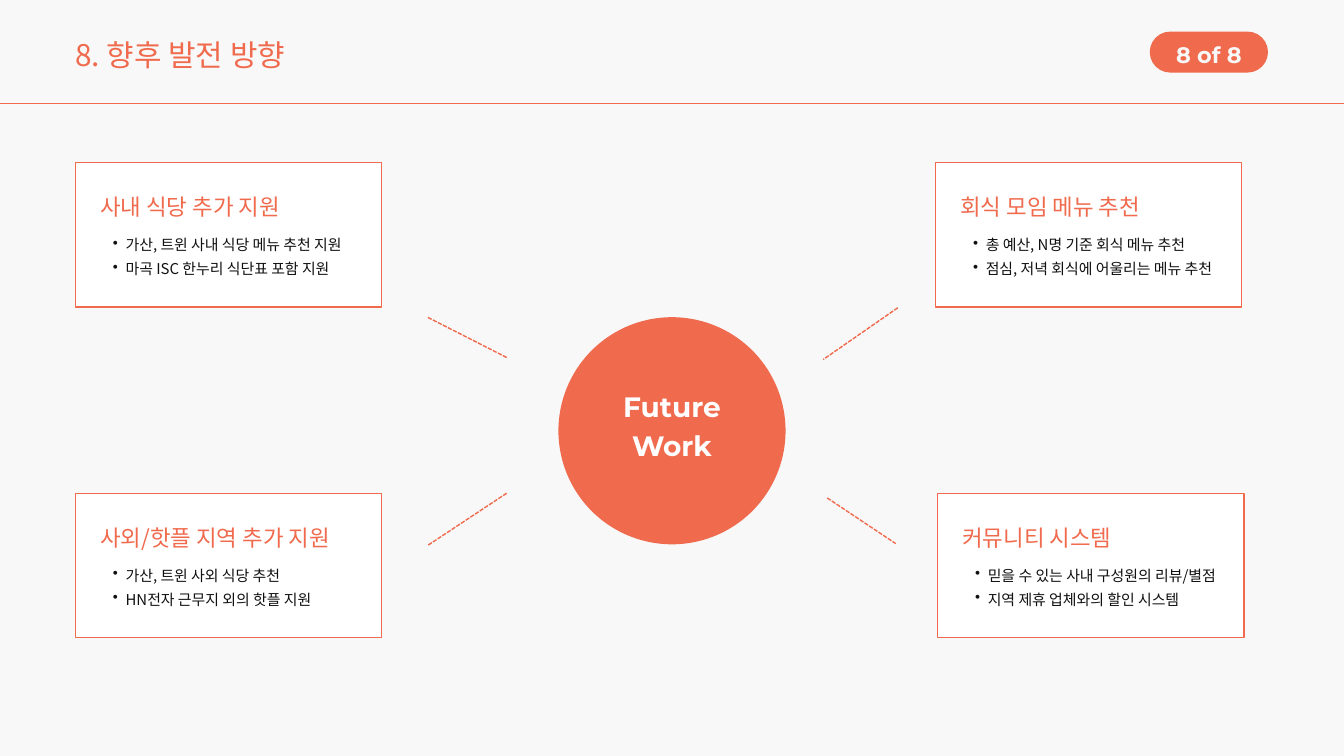
from dataclasses import dataclass

from lxml import etree
from pptx import Presentation
from pptx.dml.color import RGBColor
from pptx.enum.dml import MSO_LINE
from pptx.enum.shapes import MSO_CONNECTOR, MSO_SHAPE
from pptx.enum.text import MSO_ANCHOR, PP_ALIGN
from pptx.oxml.ns import qn
from pptx.util import Inches, Pt


@dataclass(frozen=True)
class Theme:
    accent: RGBColor = RGBColor(0xF0, 0x6A, 0x4D)
    paper: RGBColor = RGBColor(0xF8, 0xF8, 0xF8)
    white: RGBColor = RGBColor(0xFF, 0xFF, 0xFF)
    ink: RGBColor = RGBColor(0x10, 0x10, 0x10)
    korean: str = "Noto Sans CJK KR"
    latin: str = "Montserrat"
    title: float = 32
    hub: float = 30
    heading: float = 24
    body: float = 16
    line: float = 1.5


T = Theme()
CARD_W, CARD_H = 4.56, 2.15


def add_fill(s, kind, box, fill, line=None):
    sp = s.shapes.add_shape(kind, *map(Inches, box))
    sp.shadow.inherit = False
    sp.fill.solid()
    sp.fill.fore_color.rgb = fill
    if line is None:
        sp.line.fill.background()
    else:
        sp.line.color.rgb = line
        sp.line.width = Pt(T.line)
    return sp


def add_line(s, start, end, dash=None):
    cx = s.shapes.add_connector(MSO_CONNECTOR.STRAIGHT,
                                *map(Inches, (*start, *end)))
    cx.line.color.rgb = T.accent
    cx.line.width = Pt(T.line)
    if dash is not None:
        cx.line.dash_style = dash
    etree.SubElement(cx._element.spPr, qn("a:effectLst"))


def add_bullet(p):
    p.level = 1
    pPr = p._p.get_or_add_pPr()
    pPr.set("marL", str(Inches(0.38)))
    pPr.set("indent", str(Inches(-0.19)))
    etree.SubElement(pPr, qn("a:buChar"), char="•")


def add_text(s, box, lines, size, color, leading, font=T.korean, bold=False,
             align=PP_ALIGN.LEFT, anchor=MSO_ANCHOR.TOP, bullets=False):
    tf = s.shapes.add_textbox(*map(Inches, box)).text_frame
    tf.word_wrap = True
    tf.vertical_anchor = anchor
    tf.margin_left = tf.margin_right = tf.margin_top = tf.margin_bottom = 0
    for i, line in enumerate(lines):
        p = tf.add_paragraph() if i else tf.paragraphs[0]
        if bullets:
            add_bullet(p)
        p.alignment = align
        p.line_spacing = Pt(leading)
        r = p.add_run()
        r.text = line
        r.font.name = font
        r.font.size = Pt(size)
        r.font.bold = bold
        r.font.color.rgb = color
        # Hangul takes its typeface from the East Asian slot
        etree.SubElement(r._r.get_or_add_rPr(), qn("a:ea"), typeface=font)


def add_header(s, width):
    add_text(s, (1.12, 0.45, 6, 0.62), ["8. 향후 발전 방향"],
             T.title, T.accent, 44.8)
    pill = add_fill(s, MSO_SHAPE.ROUNDED_RECTANGLE,
                    (17.11, 0.47, 1.76, 0.61), T.accent)
    pill.adjustments[0] = 0.5
    add_text(s, (17.11, 0.54, 1.76, 0.43), ["8 of 8"], T.heading, T.paper,
             33.6, T.latin, True, PP_ALIGN.CENTER)
    add_line(s, (0, 1.54), (width, 1.54))


def add_hub(s, x, y, d):
    add_fill(s, MSO_SHAPE.OVAL, (x, y, d, d), T.accent)
    add_text(s, (x, y + 0.08, d, d - 0.4), ["Future", "Work"], T.hub, T.white,
             42, T.latin, True, PP_ALIGN.CENTER, MSO_ANCHOR.MIDDLE)


def add_card(s, x, y, heading, items):
    add_fill(s, MSO_SHAPE.RECTANGLE, (x, y, CARD_W, CARD_H), T.white, T.accent)
    add_text(s, (x + 0.37, y + 0.39, 4, 0.45), [heading],
             T.heading, T.accent, 33.6)
    add_text(s, (x + 0.37, y + 1, 4.2, 0.68), items,
             T.body, T.ink, 25.6, bullets=True)


# Each card: left, top, heading, bullet items
CARDS = [
    (1.12, 2.42, "사내 식당 추가 지원",
     ["가산, 트윈 사내 식당 메뉴 추천 지원", "마곡 ISC 한누리 식단표 포함 지원"]),
    (1.12, 7.34, "사외/핫플 지역 추가 지원",
     ["가산, 트윈 사외 식당 추천", "HN전자 근무지 외의 핫플 지원"]),
    (13.92, 2.42, "회식 모임 메뉴 추천",
     ["총 예산, N명 기준 회식 메뉴 추천", "점심, 저녁 회식에 어울리는 메뉴 추천"]),
    (13.95, 7.34, "커뮤니티 시스템",
     ["믿을 수 있는 사내 구성원의 리뷰/별점", "지역 제휴 업체와의 할인 시스템"]),
]

# Dashed spokes between the hub and the cards
SPOKES = [
    ((7.54, 5.32), (6.36, 4.72)),
    ((7.54, 7.34), (6.36, 8.12)),
    ((13.36, 4.58), (12.25, 5.35)),
    ((12.31, 7.41), (13.33, 8.09)),
]


def main():
    prs = Presentation()
    prs.slide_width, prs.slide_height = Inches(20), Inches(11.25)
    s = prs.slides.add_slide(prs.slide_layouts[6])
    s.background.fill.solid()
    s.background.fill.fore_color.rgb = T.paper

    add_header(s, 20)
    add_hub(s, 8.31, 4.72, 3.38)
    for card in CARDS:
        add_card(s, *card)
    for start, end in SPOKES:
        add_line(s, start, end, MSO_LINE.SQUARE_DOT)
    prs.save("out.pptx")


if __name__ == "__main__":
    main()
